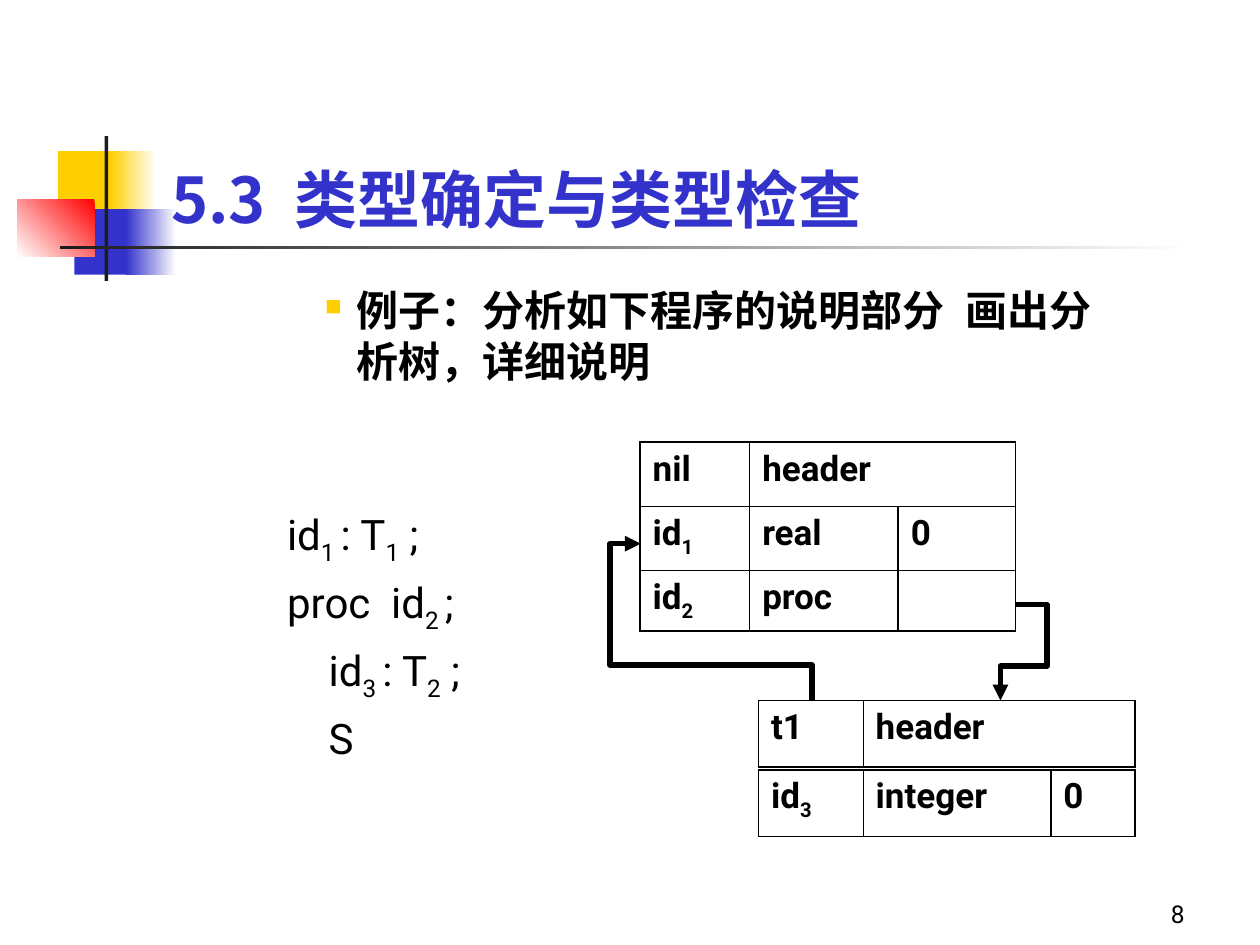
from pptx import Presentation
from pptx.dml.color import RGBColor
from pptx.enum.shapes import MSO_CONNECTOR, MSO_SHAPE
from pptx.enum.text import MSO_ANCHOR, PP_ALIGN
from pptx.oxml import parse_xml
from pptx.oxml.ns import nsdecls, qn
from pptx.util import Inches, Pt

RECT = MSO_SHAPE.RECTANGLE
ELBOW = MSO_CONNECTOR.ELBOW
BOTTOM, TOP = MSO_ANCHOR.BOTTOM, MSO_ANCHOR.TOP
LEFT, RIGHT = PP_ALIGN.LEFT, PP_ALIGN.RIGHT

CJK, LATIN = "Noto Sans CJK SC", "Roboto"
BLACK, WHITE, DARK = "000000", "FFFFFF", "1C1C1C"
GOLD, BLUE, RED = "FFCF01", "3333CC", "FF0000"
THICK, THIN = 1.08, 0.45


def rgb(value):
    return RGBColor.from_string(value)


def xml(tag, attrs="", inner=""):
    return parse_xml(f'<a:{tag} {nsdecls("a")} {attrs}>{inner}</a:{tag}>')


def solid(value):
    return f'<a:solidFill><a:srgbClr val="{value}"/></a:solidFill>'


def write(p, text, **fmt):
    """Fill a paragraph; parts between underscores become subscripts."""
    style = {"name": LATIN, "size": Pt(24), "bold": False, **fmt}
    color = style.pop("color", BLACK)
    for i, part in enumerate(text.split("_")):
        if not part:
            continue
        r = p.add_run()
        r.text = part
        for name, value in style.items():
            setattr(r.font, name, value)
        r.font.color.rgb = rgb(color)
        rPr = r._r.get_or_add_rPr()
        rPr.find(qn("a:latin")).addnext(xml("ea", f'typeface="{style["name"]}"'))
        if i % 2:
            rPr.set("baseline", "-25000")


def add_text(slide, box, anchor=TOP):
    tf = slide.shapes.add_textbox(*map(Inches, box)).text_frame
    tf.word_wrap = True
    tf.vertical_anchor = anchor
    return tf


def indent(p, margin, hanging=0):
    pPr = p._p.get_or_add_pPr()
    pPr.set("marL", str(Inches(margin)))
    pPr.set("indent", str(-Inches(hanging)))
    return pPr


def add_ornament(slide, x, y):
    """Coloured blocks and rules beside the title."""
    parts = [
        (0.32, 0.12, 0.48, 0.52, GOLD, None, 0),
        (0.74, 0.12, 0.36, 0.52, WHITE, GOLD, 180),
        (0.45, 0.58, 0.46, 0.52, BLUE, None, 0),
        (0.86, 0.58, 0.4, 0.52, WHITE, BLUE, 180),
        (0, 0.5, 0.61, 0.46, RED, WHITE, 225),
        (0.69, 0, 0.03, 1.15, DARK, None, 0),
        (0.34, 0.87, 9, 0.03, WHITE, DARK, 180),
    ]
    for dx, dy, w, h, start, end, angle in parts:
        s = slide.shapes.add_shape(RECT, *map(Inches, (x + dx, y + dy, w, h)))
        s.shadow.inherit = False
        s.line.fill.background()
        if end is None:
            s.fill.solid()
            s.fill.fore_color.rgb = rgb(start)
            continue
        s.fill.gradient()
        s.fill.gradient_angle = angle
        for stop, color, pos in zip(s.fill.gradient_stops, (start, end), (0, 1)):
            stop.color.rgb = rgb(color)
            stop.position = pos


def add_title(slide, box, text):
    p = add_text(slide, box, BOTTOM).paragraphs[0]
    write(p, text, name=CJK, size=Pt(36), bold=True, color=BLUE)


def add_bullet(slide, box, text):
    p = add_text(slide, box).paragraphs[0]
    pPr = indent(p, 1.75, 0.25)
    pPr.append(xml("buClr", inner=f'<a:srgbClr val="{GOLD}"/>'))
    pPr.append(xml("buSzPct", 'val="55000"'))
    pPr.append(xml("buChar", 'char="■"'))
    write(p, text, bold=True)


def add_listing(slide, box, lines):
    """Program lines, each with its nesting depth."""
    tf = add_text(slide, box)
    for i, (depth, text) in enumerate(lines):
        p = tf.add_paragraph() if i else tf.paragraphs[0]
        indent(p, 1.75 + 0.33 * depth)
        if i:
            p.space_before = Pt(6)
        write(p, text)


def set_borders(cell, widths):
    tcPr = cell._tc.get_or_add_tcPr()
    for side, width in zip("LRTB", widths):
        tcPr.append(xml(f"ln{side}", f'w="{Pt(width)}"', solid(BLACK)))


def add_symbol_table(slide, x, y, cols, heights, rows):
    """Symbol table; a row shorter than the grid merges its last cells."""
    size = (sum(cols), sum(heights))
    frame = slide.shapes.add_table(len(rows), len(cols),
                                   *map(Inches, (x, y, *size)))
    table = frame.table
    table.first_row = table.horz_banding = False
    for column, width in zip(table.columns, cols):
        column.width = Inches(width)
    last = len(rows) - 1
    for i, (row, height) in enumerate(zip(rows, heights)):
        table.rows[i].height = Inches(height)
        for j in range(len(cols)):
            cell = table.cell(i, j)
            set_borders(cell, (THIN if j == 1 else THICK,
                               THIN if j == 0 else THICK,
                               THIN if i else THICK,
                               THIN if i < last else THICK))
            cell.fill.background()
            if j < len(row):
                write(cell.text_frame.paragraphs[0], row[j],
                      size=Pt(20), bold=True)
        if len(row) < len(cols):
            table.cell(i, len(row) - 1).merge(table.cell(i, len(cols) - 1))


def add_pointer(slide, start, end, adjusts, turn=0):
    """Four-segment elbow arrow; the ends are given before the turn."""
    c = slide.shapes.add_connector(ELBOW, *map(Inches, (*start, *end)))
    c.line.width = Pt(3)
    c.line.color.rgb = rgb(BLACK)
    c.line._get_or_add_ln().append(xml("tailEnd", 'type="triangle"'))
    spPr = c._element.spPr
    spPr.append(xml("effectLst"))
    spPr.find(qn("a:xfrm")).set("rot", str(turn * 60000))
    geom = spPr.find(qn("a:prstGeom"))
    geom.set("prst", "bentConnector4")
    guides = geom.find(qn("a:avLst"))
    for i, value in enumerate(adjusts, 1):
        guides.append(xml("gd", f'name="adj{i}" fmla="val {round(value * 100000)}"'))


def add_page_number(slide, box, text):
    p = add_text(slide, box, BOTTOM).paragraphs[0]
    p.alignment = RIGHT
    write(p, text, size=Pt(14))


def main():
    prs = Presentation()
    prs.slide_width, prs.slide_height = Inches(10), Inches(7.5)
    slide = prs.slides.add_slide(prs.slide_layouts[6])

    # Heading
    add_ornament(slide, 0.14, 1.08)
    add_title(slide, (1.26, 0.67, 8.52, 1.25), "5.3  类型确定与类型检查")
    add_bullet(slide, (0.98, 2.21, 8.04, 0.99),
               "例子：分析如下程序的说明部分  画出分析树，详细说明")

    # Program and its symbol tables
    add_listing(slide, (0.43, 3.99, 3.62, 2.25), [
        (0, "id_1 _: T_1_ ;"), (0, "proc  id_2 _;"),
        (1, "id_3 _: T_2_ ;"), (1, "S")])
    add_symbol_table(slide, 5.08, 3.51, (0.87, 1.18, 0.93), (0.51, 0.51, 0.48),
                     [("nil", "header"), ("id_1", "real", "0"), ("id_2", "proc", "")])
    add_symbol_table(slide, 6.02, 5.56, (0.83, 2.16), (0.53,), [("t1", "header")])
    add_symbol_table(slide, 6.02, 6.11, (0.83, 1.49, 0.67), (0.53,),
                     [("id_3", "integer", "0")])

    # Links between the tables
    add_pointer(slide, (5.14, 5.62), (6.39, 4.26), (0.23, 1.18), turn=270)
    add_pointer(slide, (8.06, 4.8), (7.94, 5.56), (-2.08, 0.64))

    add_page_number(slide, (7.42, 6.92, 2.08, 0.5), "8")
    prs.save("out.pptx")


if __name__ == "__main__":
    main()
